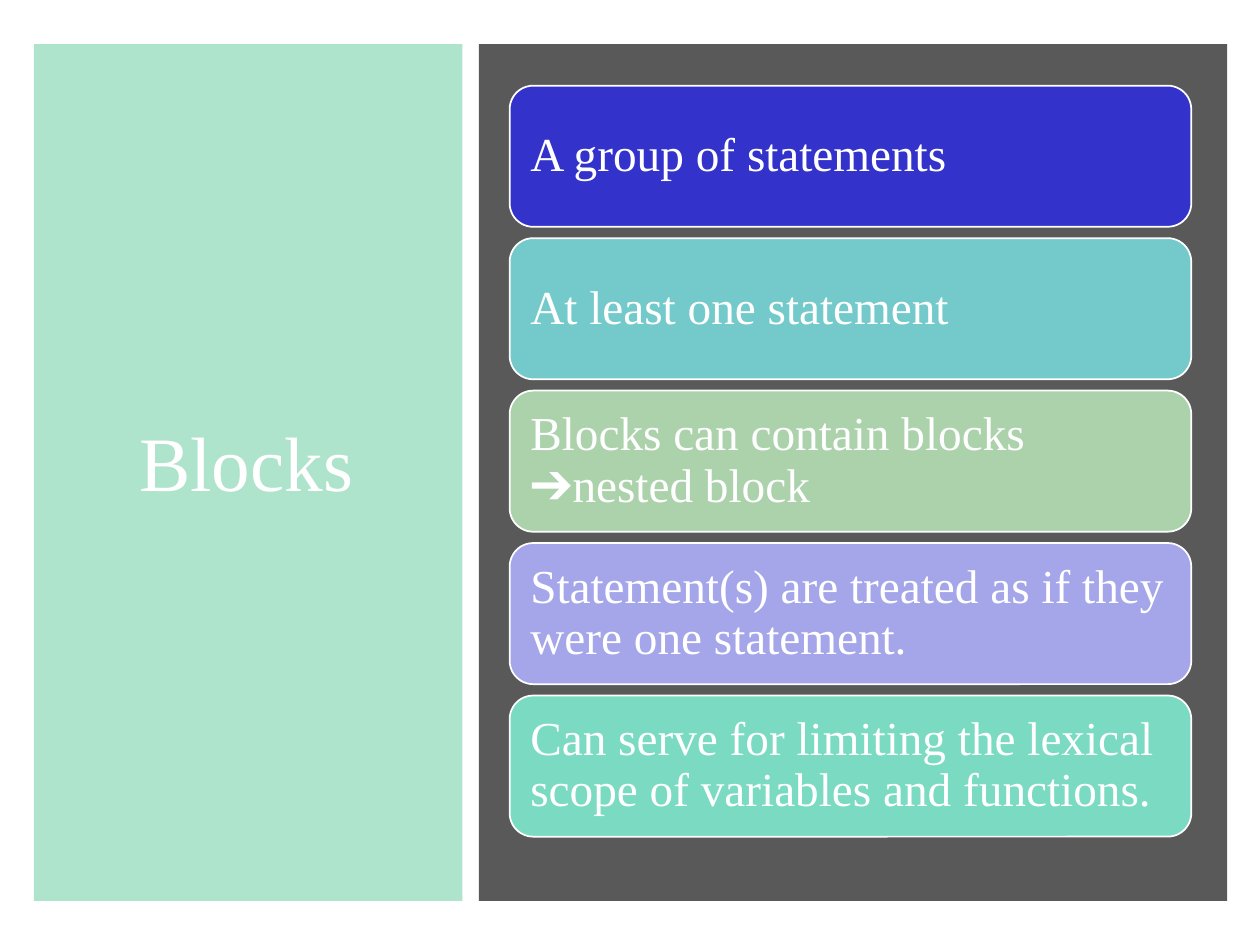
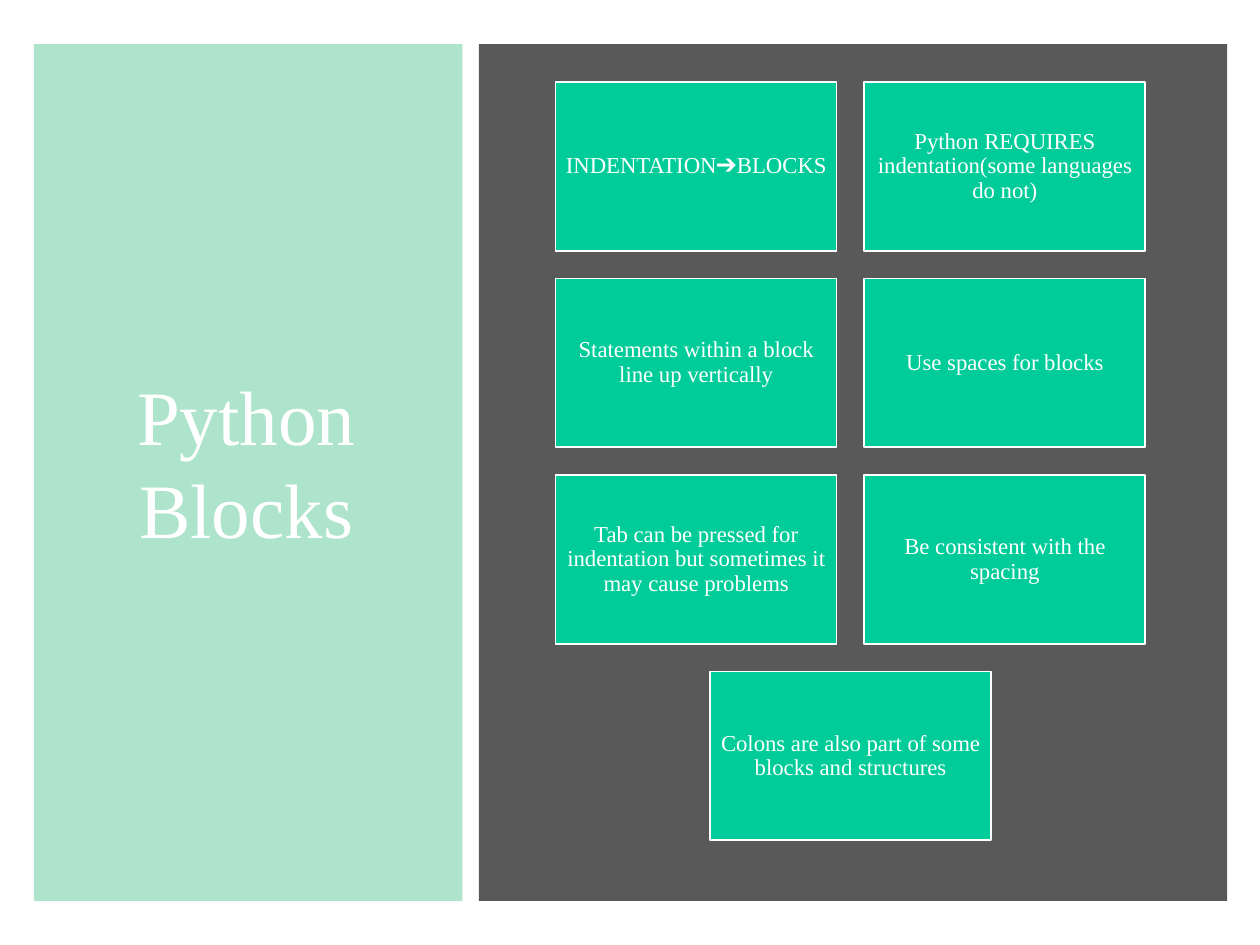
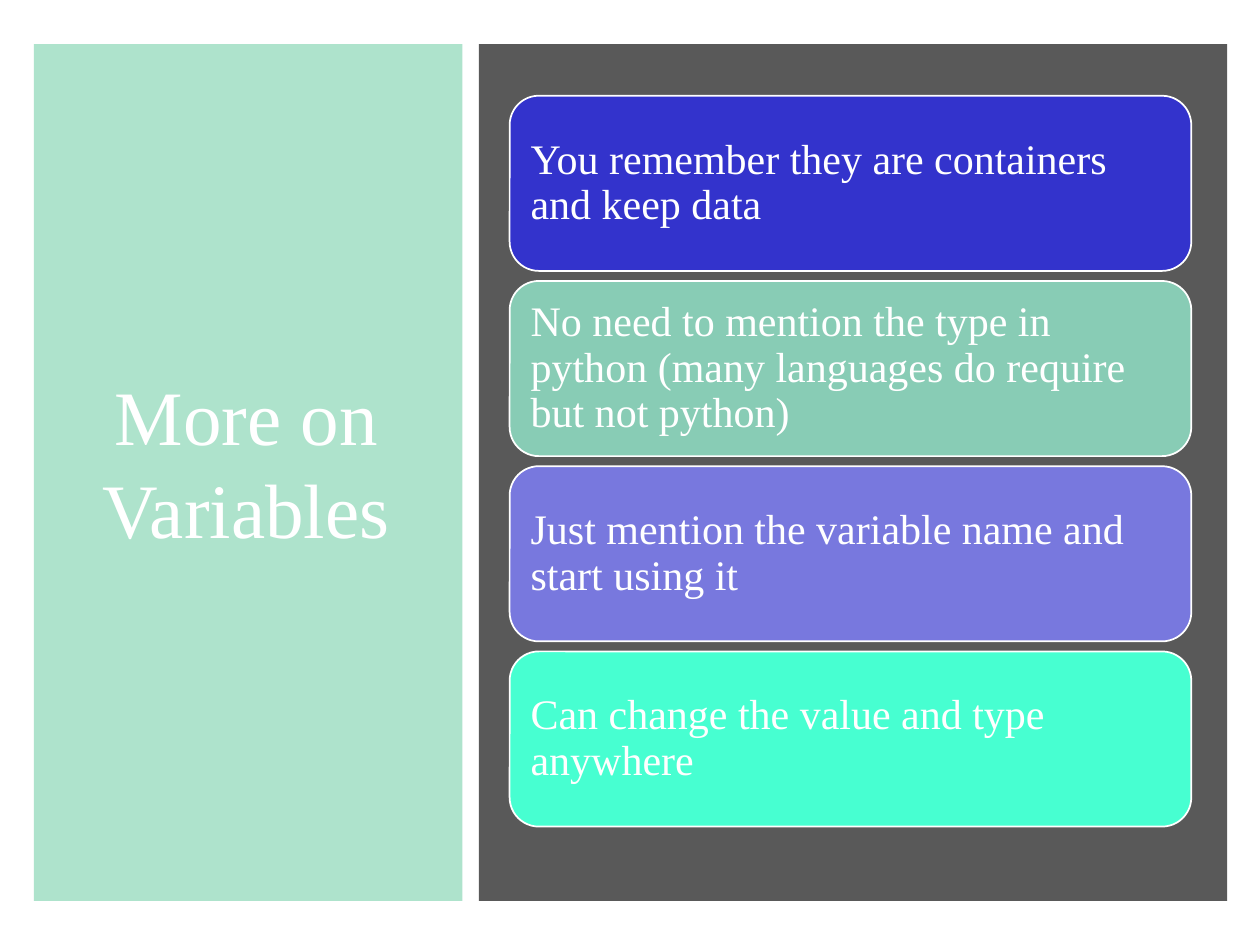
from pptx import Presentation
from pptx.dml.color import RGBColor
from pptx.enum.shapes import MSO_SHAPE
from pptx.enum.text import MSO_ANCHOR, PP_ALIGN
from pptx.oxml.ns import qn
from pptx.util import Inches, Pt
from lxml import etree

RECT, ROUNDED = MSO_SHAPE.RECTANGLE, MSO_SHAPE.ROUNDED_RECTANGLE
LEFT, CENTER, MIDDLE = PP_ALIGN.LEFT, PP_ALIGN.CENTER, MSO_ANCHOR.MIDDLE
FONT = "Times New Roman"
COLORS = {
    "white": "FFFFFF", "mint": "AAE2CA", "gray": "595959", "blue": "3333CC",
    "teal": "74CACA", "sage": "ACD2AC", "lavender": "A5A5E9", "aqua": "85FFE0",
    "green": "00CC99", "seafoam": "88CCB5", "violet": "7878DE", "turquoise": "47FFD1",
}

# Shared layout in inches: two panels, content centred on one point
PANEL_TOP, PANEL_HEIGHT = 0.35, 6.8
PANELS = [(0.27, 3.4, "mint", 95), (3.8, 5.94, "gray", 100)]
TITLE_AREA = (0.43, 0.64, 3.05, 6.04)
CENTER_X, CENTER_Y = 6.75, 3.66

# Each page: title, card style, and cards as (text, colour)
PAGES = [
    {"title": "Blocks", "shape": ROUNDED, "columns": 1, "size": (5.41, 1.12),
     "gap": 0.09, "inset": 0.11, "points": 27, "align": LEFT,
     "cards": [
         ("A group of statements", "blue"),
         ("At least one statement", "teal"),
         ("Blocks can contain blocks ➔nested block", "sage"),
         ("Statement(s) are treated as if they were one statement.", "lavender"),
         ("Can serve for limiting the lexical scope of variables and functions.", "aqua"),
     ]},
    {"title": "Python Blocks", "shape": RECT, "columns": 2, "size": (2.23, 1.34),
     "gap": 0.22, "inset": 0.05, "points": 13, "align": CENTER,
     "cards": [
         ("INDENTATION➔BLOCKS", "green"),
         ("Python REQUIRES indentation(some languages do not)", "green"),
         ("Statements within a block line up vertically", "green"),
         ("Use spaces for blocks", "green"),
         ("Tab can be pressed for indentation but sometimes it may cause problems", "green"),
         ("Be consistent with the spacing", "green"),
         ("Colons are also part of some blocks and structures", "green"),
     ]},
    {"title": "More on Variables", "shape": ROUNDED, "columns": 1, "size": (5.41, 1.39),
     "gap": 0.08, "inset": 0.1, "points": 24, "align": LEFT,
     "cards": [
         ("You remember they are containers and keep data", "blue"),
         ("No need to mention the type in python (many languages do require but not python)",
          "seafoam"),
         ("Just mention the variable name and start using it", "violet"),
         ("Can change the value and type anywhere", "turquoise"),
     ]},
]


def add_filled(page, kind, area, color, opacity=100):
    shape = page.shapes.add_shape(kind, *map(Inches, area))
    shape.shadow.inherit = False
    shape.line.fill.background()
    shape.fill.solid()
    shape.fill.fore_color.rgb = RGBColor.from_string(COLORS[color])
    if opacity < 100:
        tint = shape.fill._xPr.find(qn("a:solidFill"))[0]
        etree.SubElement(tint, qn("a:alpha")).set("val", str(opacity * 1000))
    return shape


def write(box, text, points, align, spacing=1.0):
    frame = box.text_frame
    frame.word_wrap = True
    frame.vertical_anchor = MIDDLE
    para = frame.paragraphs[0]
    para.alignment = align
    para.line_spacing = spacing
    span = para.add_run()
    span.text = text
    span.font.name = FONT
    span.font.size = Pt(points)
    span.font.color.rgb = RGBColor.from_string(COLORS["white"])
    return frame


deck = Presentation()
deck.slide_width, deck.slide_height = Inches(10), Inches(7.5)

for content in PAGES:
    page = deck.slides.add_slide(deck.slide_layouts[6])

    # Panels and title
    for left, width, color, opacity in PANELS:
        add_filled(page, RECT, (left, PANEL_TOP, width, PANEL_HEIGHT), color, opacity)
    title = page.shapes.add_textbox(*map(Inches, TITLE_AREA))
    write(title, content["title"], 44, CENTER)

    # Cards, row by row, with every row centred
    cards, columns, gap = content["cards"], content["columns"], content["gap"]
    width, height = content["size"]
    rows = [cards[i:i + columns] for i in range(0, len(cards), columns)]
    top = CENTER_Y - (len(rows) * (height + gap) - gap) / 2
    for row_index, row in enumerate(rows):
        row_left = CENTER_X - (len(row) * (width + gap) - gap) / 2
        for column, (text, color) in enumerate(row):
            area = (row_left + column * (width + gap),
                    top + row_index * (height + gap), width, height)
            card = add_filled(page, content["shape"], area, color,
                              78 if color == "aqua" else 100)
            card.line.color.rgb = RGBColor.from_string(COLORS["white"])
            card.line.width = Pt(1)
            frame = write(card, text, content["points"], content["align"], 0.9)
            frame.margin_left = frame.margin_right = Inches(content["inset"])
            frame.margin_top = frame.margin_bottom = Inches(content["inset"])

deck.save("out.pptx")
